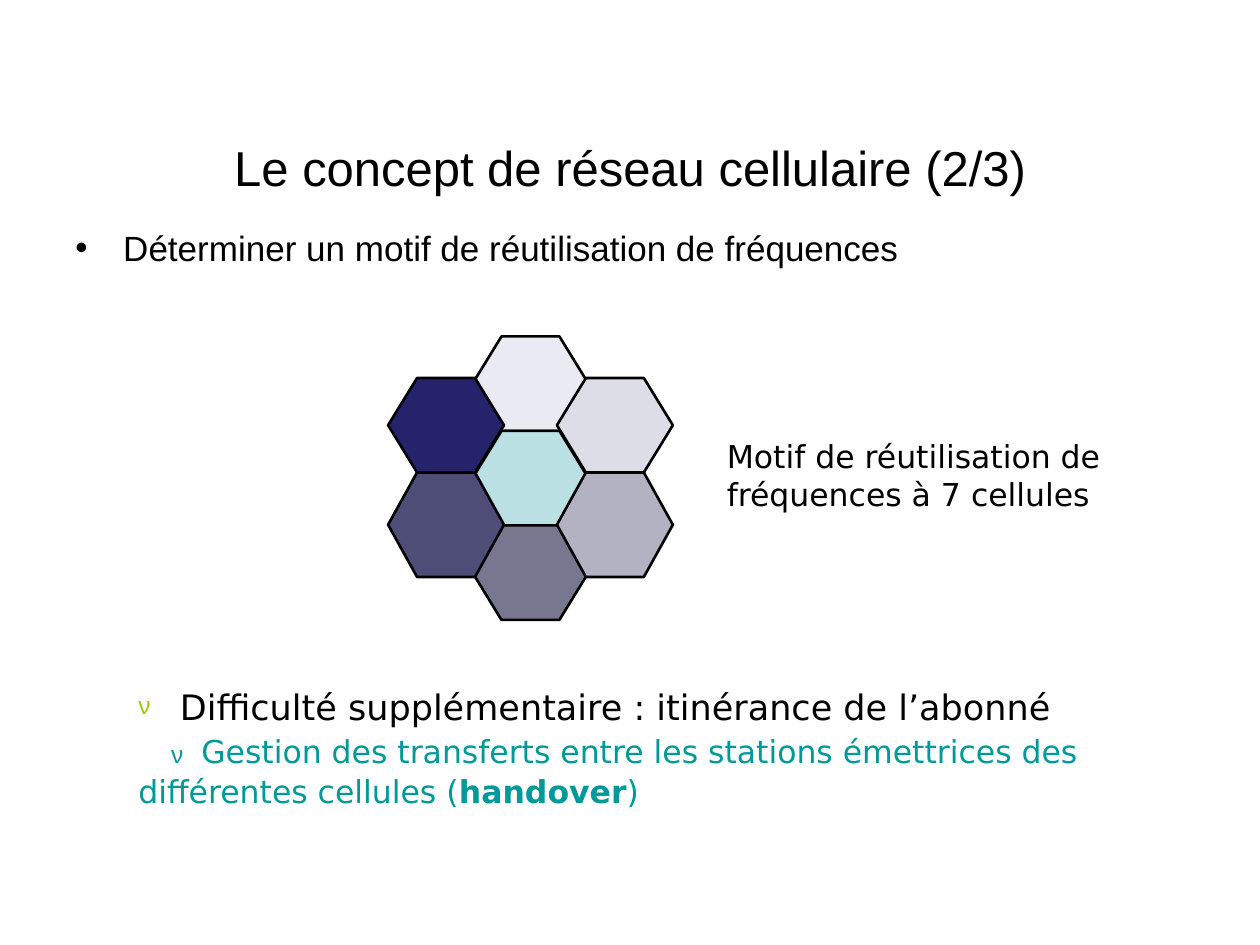
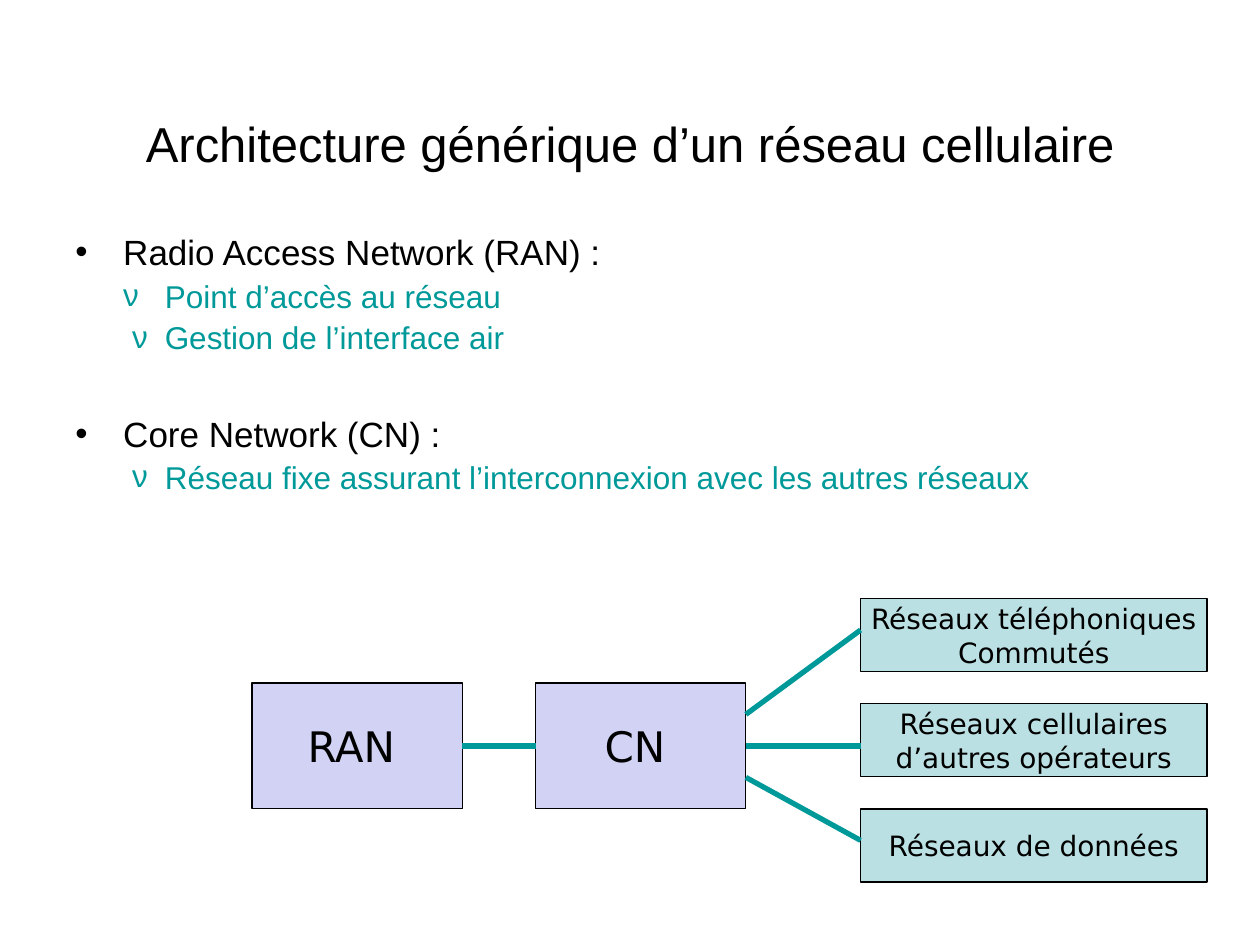
from lxml.etree import SubElement
from pptx import Presentation
from pptx.dml.color import RGBColor
from pptx.enum.shapes import MSO_CONNECTOR, MSO_SHAPE
from pptx.enum.text import MSO_ANCHOR as Anchor, MSO_AUTO_SIZE, PP_ALIGN as Align
from pptx.oxml.ns import qn
from pptx.util import Inches, Pt

COLORS = {
    "ink": "000000", "teal": "009999", "lime": "99CC00",
    "aqua": "BBE0E3", "lavender": "A7A7ED", "mist": "EAEAF2",
    "slate": "77778F", "navy": "24236C", "indigo": "4D4D77",
    "silver": "DDDDE8", "gray": "B2B2C2",
}
SANS, WIDE = "Arial", "DejaVu Sans"
MARK = "ν"


def rgb(name):
    return RGBColor.from_string(COLORS[name])


def add_span(para, text, size=18, color="ink", font=SANS, bold=False):
    span = para.add_run()
    span.text = text
    span.font.size = Pt(size)
    span.font.name = font
    span.font.bold = bold
    span.font.color.rgb = rgb(color)


def set_bullet(props, char, color, percent):
    paint = SubElement(props, qn("a:buClr"))
    SubElement(paint, qn("a:srgbClr"), val=COLORS[color])
    SubElement(props, qn("a:buSzPct"), val=str(percent * 1000))
    SubElement(props, qn("a:buFont"), typeface=SANS)
    SubElement(props, qn("a:buChar"), char=char)


def write(para, text, align=Align.LEFT, before=0, spacing=1.0, margin=0,
          indent=0, bullet=None, bullet_color="ink", bullet_percent=100,
          tab=None, **style):
    para.alignment = align
    para.space_before = Pt(before)
    para.line_spacing = spacing
    props = para._p.get_or_add_pPr()
    props.set("marL", str(Inches(margin)))
    props.set("indent", str(Inches(indent)))
    if bullet:
        set_bullet(props, bullet, bullet_color, bullet_percent)
    else:
        SubElement(props, qn("a:buNone"))
    if tab:
        stops = SubElement(props, qn("a:tabLst"))
        SubElement(stops, qn("a:tab"), pos=str(Inches(tab)), algn="l")
    add_span(para, text, **style)
    return para


def next_para(frame):
    first = frame.paragraphs[0]
    return frame.add_paragraph() if first.runs else first


def add_box(slide, left, top, width, height):
    box = slide.shapes.add_textbox(*map(Inches, (left, top, width, height)))
    box.text_frame.word_wrap = True
    return box.text_frame


def add_titled_slide(deck, text, top, height):
    slide = deck.slides.add_slide(deck.slide_layouts[5])
    title = slide.shapes.title
    title.left, title.top = Inches(0.5), Inches(top)
    title.width, title.height = Inches(9), Inches(height)
    frame = title.text_frame
    frame.auto_size = MSO_AUTO_SIZE.NONE
    frame.vertical_anchor = Anchor.MIDDLE
    write(frame.paragraphs[0], text, align=Align.CENTER, size=28)
    return slide


def add_point(frame, text, **layout):
    write(next_para(frame), text, margin=0.38, indent=-0.38,
          bullet="•", size=20, **layout)


def add_subpoint(frame, text, hang):
    write(next_para(frame), text, margin=0.71, indent=-hang, spacing=1.1,
          bullet=MARK, bullet_color="teal", color="teal")


def add_figure(slide, kind, left, top, width, height, fill, line=0.75):
    shape = slide.shapes.add_shape(
        kind, *map(Inches, (left, top, width, height)))
    shape.shadow.inherit = False
    shape.fill.solid()
    shape.fill.fore_color.rgb = rgb(fill)
    shape.line.color.rgb = rgb("ink")
    shape.line.width = Pt(line)
    return shape


def add_cell(slide, column, top, height, fill):
    cell = add_figure(slide, MSO_SHAPE.HEXAGON, 3.08 + 0.67 * column, top,
                      0.92, height, fill, line=1.5)
    cell.adjustments[0] = 0.23 / height


def add_block(slide, left, top, width, height, lines, fill, size,
              alpha=None, right_inset=0.1):
    block = add_figure(slide, MSO_SHAPE.RECTANGLE, left, top, width, height, fill)
    if alpha:
        color = block.fill._xPr.find(qn("a:solidFill"))[0]
        SubElement(color, qn("a:alpha"), val=str(alpha * 1000))
    frame = block.text_frame
    frame.word_wrap = False
    frame.vertical_anchor = Anchor.MIDDLE
    frame.margin_right = Inches(right_inset)
    for line in lines:
        write(next_para(frame), line, align=Align.CENTER, size=size, font=WIDE)
    return block


def add_link(slide, start, end, source=None, target=None):
    link = slide.shapes.add_connector(
        MSO_CONNECTOR.STRAIGHT, *map(Inches, (*start, *end)))
    link.line.color.rgb = rgb("teal")
    link.line.width = Pt(3)
    SubElement(link._element.spPr, qn("a:effectLst"))
    if source:
        link.begin_connect(source, 3)
    if target:
        link.end_connect(target, 1)


def build_reuse_slide(deck):
    slide = add_titled_slide(
        deck, "Le concept de réseau cellulaire (2/3)", 1.1, 0.45)
    add_point(add_box(slide, 0.5, 1.75, 9, 0.54),
              "Déterminer un motif de réutilisation de fréquences")

    for row, fill in enumerate(("mist", "aqua", "slate")):
        add_cell(slide, 1, 2.67 + 0.75 * row, 0.75, fill)
    for column, upper, lower in ((0, "navy", "indigo"), (2, "silver", "gray")):
        add_cell(slide, column, 3, 0.75, upper)
        add_cell(slide, column, 3.75, 0.83, lower)

    caption = add_box(slide, 5.67, 3.42, 3.5, 0.7)
    write(next_para(caption),
          "Motif de réutilisation de fréquences à 7 cellules", font=WIDE)

    roaming = add_box(slide, 1, 5.39, 8.67, 1.08)
    write(next_para(roaming), "Difficulté supplémentaire : itinérance de l’abonné",
          margin=0.33, indent=-0.33, bullet=MARK, bullet_color="lime",
          bullet_percent=70, size=20, font=WIDE)
    para = write(next_para(roaming), MARK + "\t", before=1.5, spacing=1.05,
                 indent=0.26, tab=0.51, size=14, color="teal")
    for text, bold in (
            ("Gestion des transferts entre les stations émettrices des "
             "différentes cellules (", False),
            ("handover", True), (")", False)):
        add_span(para, text, color="teal", font=WIDE, bold=bold)


def build_architecture_slide(deck):
    slide = add_titled_slide(
        deck, "Architecture générique d’un réseau cellulaire", 0.72, 0.83)
    body = add_box(slide, 0.5, 1.75, 9, 2.52)
    add_point(body, "Radio Access Network (RAN) :", spacing=1.1)
    add_subpoint(body, "Point d’accès au réseau", 0.33)
    add_subpoint(body, "Gestion de l’interface air", 0.26)
    add_point(body, "Core Network (CN) :", before=32)
    add_subpoint(body, "Réseau fixe assurant l’interconnexion avec les autres réseaux",
                 0.26)

    access, core = [
        add_block(slide, left, 5.42, 1.67, 1, [name], "lavender", 24,
                  alpha=50, right_inset=0.19)
        for left, name in ((2, "RAN"), (4.25, "CN"))]
    networks = (
        ("Réseaux téléphoniques", "Commutés"),
        ("Réseaux cellulaires", "d’autres opérateurs"),
        ("Réseaux de données",),
    )
    for row, lines in enumerate(networks):
        add_block(slide, 6.83, 4.75 + 0.835 * row, 2.75, 0.58, lines, "aqua", 16)

    add_link(slide, (3.67, 5.92), (4.25, 5.92), access, core)
    add_link(slide, (5.92, 5.67), (6.83, 5))
    add_link(slide, (5.92, 5.92), (6.83, 5.92), core)
    add_link(slide, (5.92, 6.17), (6.83, 6.67))


def main():
    deck = Presentation()
    deck.slide_width, deck.slide_height = Inches(10), Inches(7.5)
    build_reuse_slide(deck)
    build_architecture_slide(deck)
    deck.save("out.pptx")


if __name__ == "__main__":
    main()
